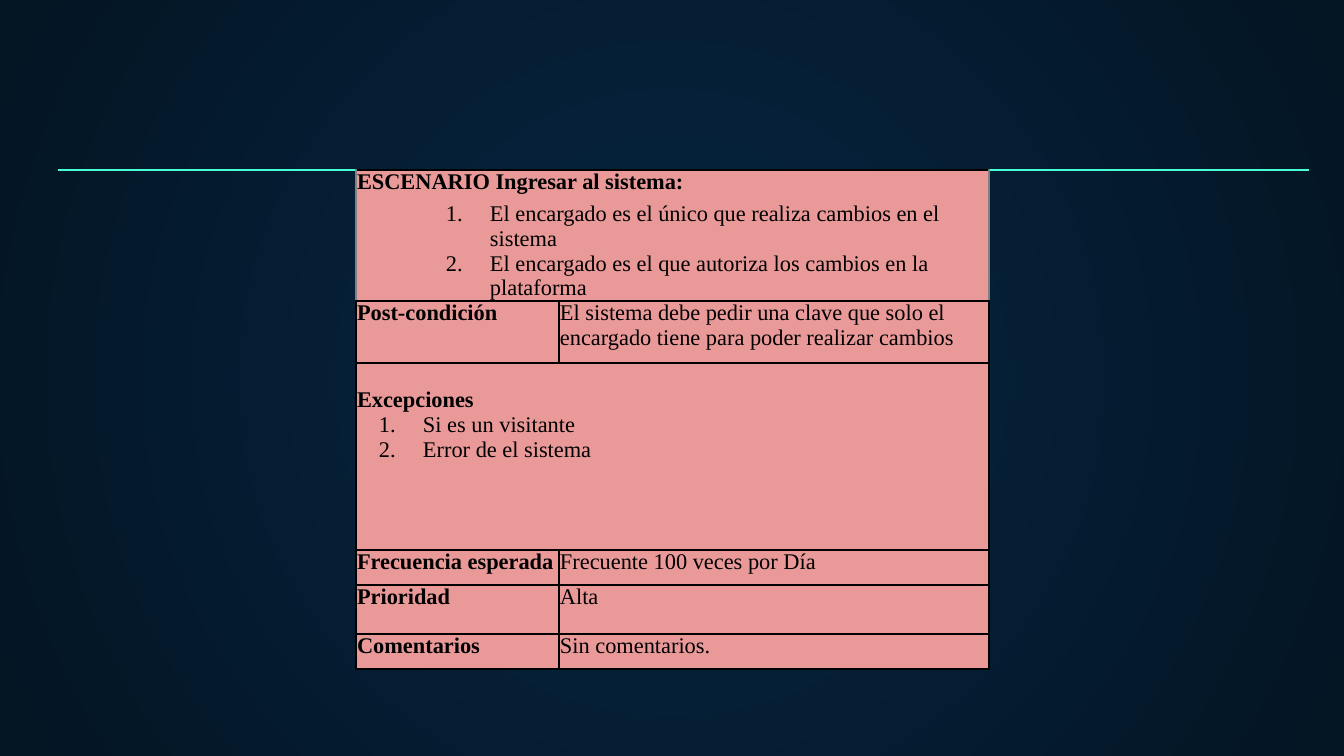
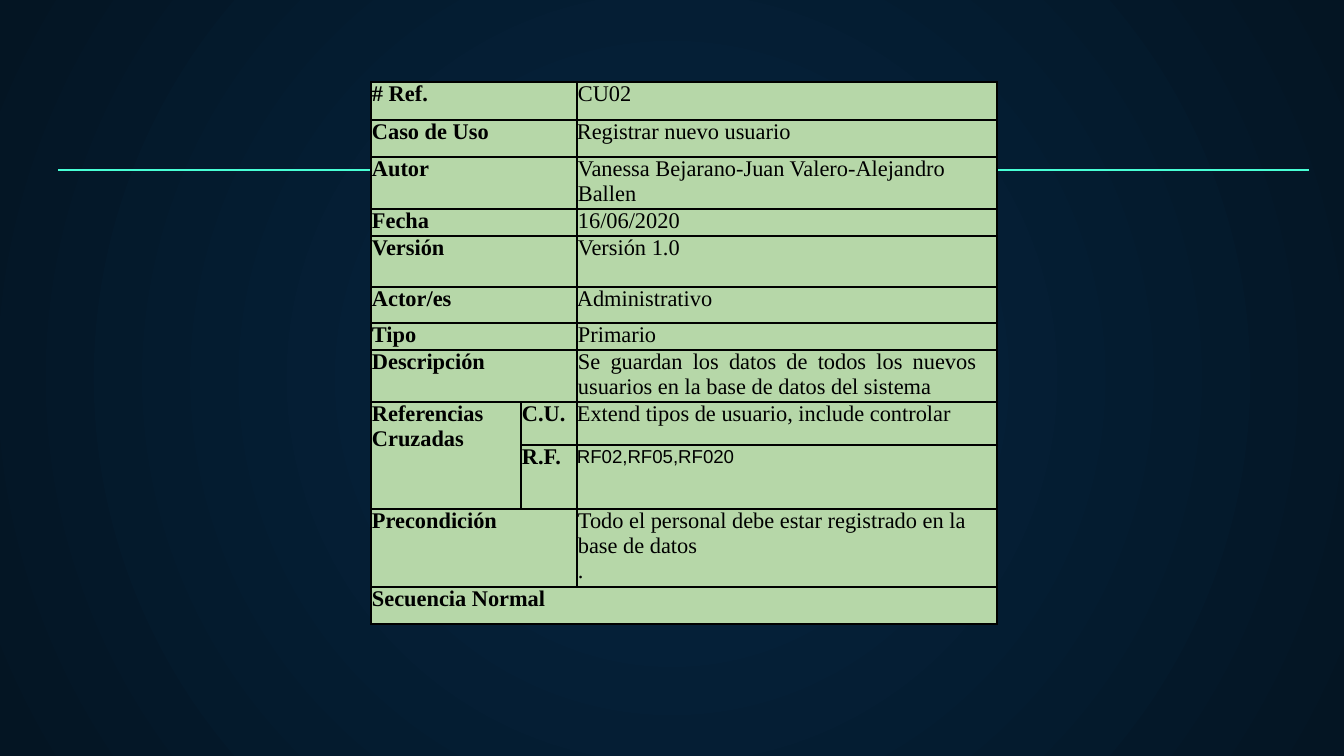
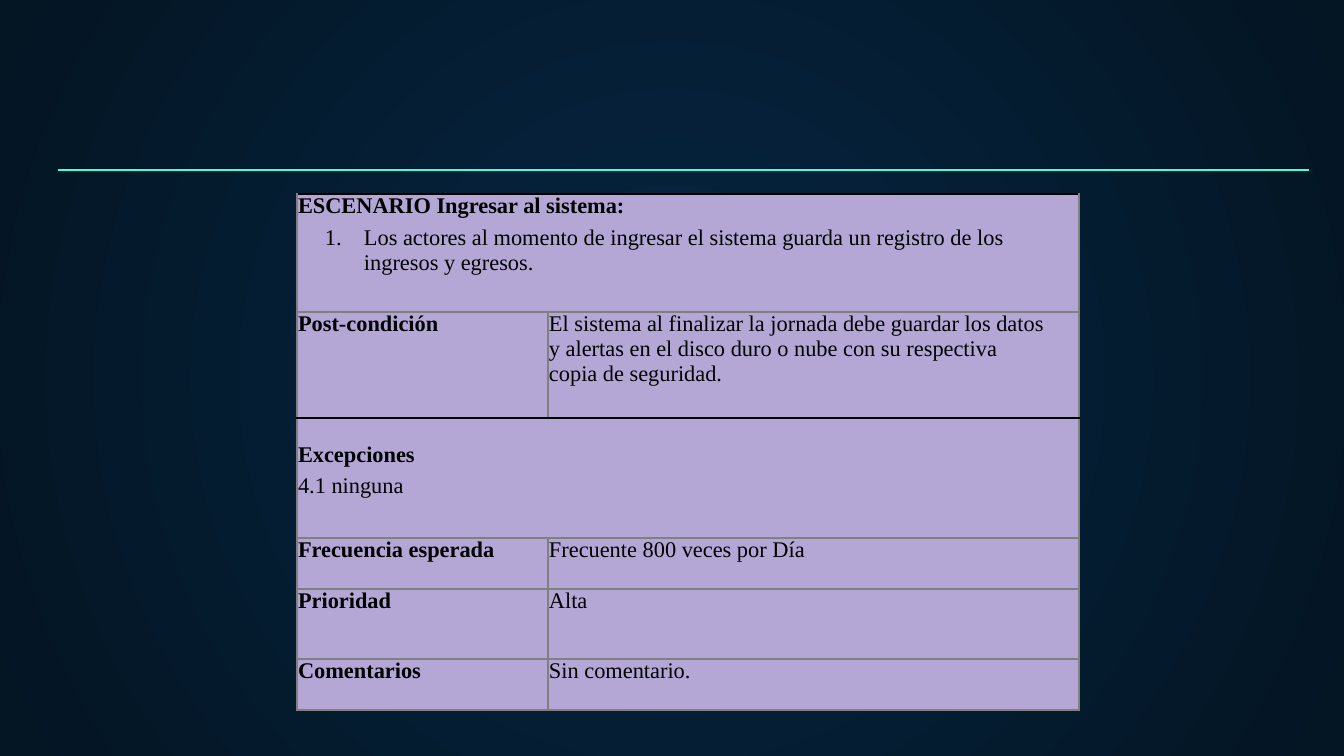
from dataclasses import dataclass

import pptx
import pptx.dml.color
import pptx.enum.shapes
import pptx.enum.text
import pptx.oxml.ns
import pptx.util
from lxml import etree

RGB = pptx.dml.color.RGBColor
GLOW = RGB(0x05, 0x26, 0x43)
NIGHT = RGB(0x04, 0x15, 0x23)
MINT = RGB(0x48, 0xFF, 0xD5)
BLACK = RGB(0, 0, 0)
GREY = RGB(0x80, 0x80, 0x80)
ROSE = RGB(0xEA, 0x99, 0x99)
LEAF = RGB(0xB6, 0xD7, 0xA8)
LILAC = RGB(0xB4, 0xA7, 0xD6)

THICK, THIN = 1, 0.75  # border widths in points
JUSTIFY = pptx.enum.text.PP_ALIGN.JUSTIFY


def px(count):
    return pptx.util.Emu(round(count * 914400 / 134.4))


def add_xml(parent, tag, **attributes):
    return etree.SubElement(parent, pptx.oxml.ns.qn(tag), attributes)


@dataclass
class Para:
    text: str
    bold: bool = False
    left: int = 1        # px
    hanging: int = 0     # px; numbered when above zero
    before: float = 0    # points
    spacing: float = None
    align: object = None
    font: str = "Times New Roman"
    size: int = 12


@dataclass
class Cell:
    paras: list
    across: int = 1
    down: int = 1
    top: int = 0
    right: int = 0


@dataclass
class Row:
    height: int
    cells: list
    borders: dict = None  # side -> (colour, points), where it differs


def label(text, **place):
    return Cell([Para(line, bold=True) for line in text.split("\n")], **place)


def value(text, right=0, **style):
    return Cell([Para(text, **style)], right=right)


def field(height, name, content, borders=None, right=0):
    return Row(height, [label(name), value(content, right)], borders)


class Deck:
    def __init__(self):
        self.prs = pptx.Presentation()
        self.prs.slide_width, self.prs.slide_height = px(1344), px(756)
        self.slide = None
        self.paint_master()

    def paint_master(self):
        master = self.prs.slide_master
        fill = master.background.fill
        fill.gradient()
        for stop, colour in zip(fill.gradient_stops, (GLOW, NIGHT)):
            stop.color.rgb = colour
        fill.gradient_stops[0].position = 0
        fill.gradient_stops[1].position = 1
        # Radial shade from the centre
        gradient = master.element.find(".//" + pptx.oxml.ns.qn("a:gradFill"))
        gradient.remove(gradient.find(pptx.oxml.ns.qn("a:lin")))
        shade = add_xml(gradient, "a:path", path="circle")
        add_xml(shade, "a:fillToRect", l="50000", t="50000", r="50000", b="50000")

    def new_slide(self):
        self.slide = self.prs.slides.add_slide(self.prs.slide_layouts[6])
        self.rule(58, 1309, 170)

    def rule(self, left, right, y):
        rule = self.slide.shapes.add_connector(
            pptx.enum.shapes.MSO_CONNECTOR.STRAIGHT, px(left), px(y), px(right), px(y))
        rule.line.color.rgb = MINT
        rule.line.width = pptx.util.Pt(0.75)
        add_xml(rule.element.spPr, "a:effectLst")

    def table(self, left, top, widths, rows, fill, border):
        table = self.slide.shapes.add_table(
            len(rows), len(widths), px(left), px(top),
            px(sum(widths)), px(sum(row.height for row in rows))).table
        table.first_row = table.horz_banding = False
        for column, width in zip(table.columns, widths):
            column.width = px(width)
        for r, row in enumerate(rows):
            table.rows[r].height = px(row.height)
            sides = {side: (border, THICK) for side in "LRTB"} | (row.borders or {})
            for c, content in enumerate(row.cells):
                cell = table.cell(r, c)
                self.borders(cell, sides)
                cell.fill.solid()
                cell.fill.fore_color.rgb = fill
                if content:
                    self.fill_cell(cell, content)
                    if content.across > 1 or content.down > 1:
                        cell.merge(table.cell(r + content.down - 1, c + content.across - 1))

    def borders(self, cell, sides):
        properties = cell._tc.get_or_add_tcPr()
        for side, (colour, points) in sides.items():
            line = add_xml(properties, "a:ln" + side, w=str(pptx.util.Pt(points)))
            add_xml(add_xml(line, "a:solidFill"), "a:srgbClr", val=str(colour))

    def fill_cell(self, cell, content):
        cell.margin_left = cell.margin_bottom = 0
        cell.margin_top, cell.margin_right = px(content.top), px(content.right)
        frame = cell.text_frame
        for i, para in enumerate(content.paras):
            self.set_text(frame.add_paragraph() if i else frame.paragraphs[0], para)

    def set_text(self, paragraph, para):
        paragraph.text = para.text
        if para.before:
            paragraph.space_before = pptx.util.Pt(para.before)
        if para.spacing:
            paragraph.line_spacing = para.spacing
        if para.align:
            paragraph.alignment = para.align
        properties = paragraph._p.get_or_add_pPr()
        properties.set("marL", str(px(para.left)))
        properties.set("indent", str(px(-para.hanging)))
        if para.hanging:
            add_xml(add_xml(properties, "a:buClr"), "a:srgbClr", val=str(BLACK))
            add_xml(properties, "a:buAutoNum", type="arabicPeriod")
        font = paragraph.font
        font.name, font.size = para.font, pptx.util.Pt(para.size)
        font.bold, font.color.rgb = para.bold, BLACK


def scenario(steps, **place):
    steps[0].before = 3.5
    return Cell([Para("ESCENARIO Ingresar al sistema:", bold=True), *steps], across=2, **place)


def exceptions(*cases):
    return Cell([Para("Excepciones", bold=True), *cases], across=2, top=25)


def main():
    deck = Deck()

    # Slide 1: scenario of the first use case
    deck.new_slide()
    step = dict(left=134, hanging=44)
    case = dict(left=67, hanging=44)
    deck.table(356, 170, [203, 430], [
        Row(131, [scenario([
            Para("El encargado es el único que realiza cambios en el sistema", **step),
            Para("El encargado es el que autoriza los cambios en la plataforma", **step),
        ]), None], {"L": (GREY, THICK), "R": (GREY, THICK), "T": (BLACK, THIN)}),
        field(62, "Post-condición", "El sistema debe pedir una clave que solo el "
              "encargado tiene para poder realizar cambios"),
        Row(187, [exceptions(Para("Si es un visitante", **case),
                             Para("Error de el sistema", **case)), None]),
        field(35, "Frecuencia esperada", "Frecuente 100 veces por Día"),
        field(49, "Prioridad", "Alta"),
        field(35, "Comentarios", "Sin comentarios."),
    ], ROSE, BLACK)

    # Slide 2: card of use case CU02
    deck.new_slide()
    card = [
        (38, "# Ref.", value("CU02")),
        (37, "Caso de Uso", value("Registrar nuevo usuario", left=0)),
        (52, "Autor", value("Vanessa Bejarano-Juan Valero-Alejandro Ballen")),
        (27, "Fecha", value("16/06/2020")),
        (51, "Versión", value("Versión 1.0")),
        (36, "Actor/es", value("Administrativo", left=0)),
        (27, "Tipo", value("Primario")),
        (52, "Descripción", value("Se guardan los datos de todos los nuevos usuarios "
                                  "en la base de datos del sistema",
                                  right=20, align=JUSTIFY)),
    ]
    precondition = Cell([
        Para("Todo el personal debe estar registrado en la base de datos"),
        Para(".", before=0.2)])
    deck.table(371, 82, [150, 56, 420], [
        *[Row(height, [label(name, across=2), None, content])
          for height, name, content in card],
        Row(43, [label("Referencias\nCruzadas", down=2), label("C.U."),
                 value("Extend tipos de usuario, include controlar", left=0)]),
        Row(64, [None, label("R.F."), value("RF02,RF05,RF020", left=0, spacing=1.08,
                                            font="Arial", size=10)]),
        Row(78, [label("Precondición", across=2), None, precondition]),
        Row(37, [label("Secuencia Normal", across=3), None, None]),
    ], LEAF, BLACK)

    # Slide 3: scenario of use case CU02
    deck.new_slide()
    black_top, black_bottom = {"T": (BLACK, THIN)}, {"B": (BLACK, THIN)}
    deck.table(297, 194, [251, 531], [
        Row(118, [scenario([
            Para("Los actores al momento de ingresar el sistema guarda un registro "
                 "de los ingresos y egresos.", left=67, hanging=39),
        ], right=20), None], black_top),
        field(106, "Post-condición", "El sistema al finalizar la jornada debe guardar los "
              "datos y alertas en el disco duro o nube con su respectiva copia de "
              "seguridad.", black_bottom, right=30),
        Row(120, [exceptions(Para("4.1 ninguna", before=3)), None], black_top),
        field(51, "Frecuencia esperada", "Frecuente 800 veces por Día"),
        field(70, "Prioridad", "Alta"),
        field(51, "Comentarios", "Sin comentario."),
    ], LILAC, GREY)

    deck.prs.save("out.pptx")


if __name__ == "__main__":
    main()
